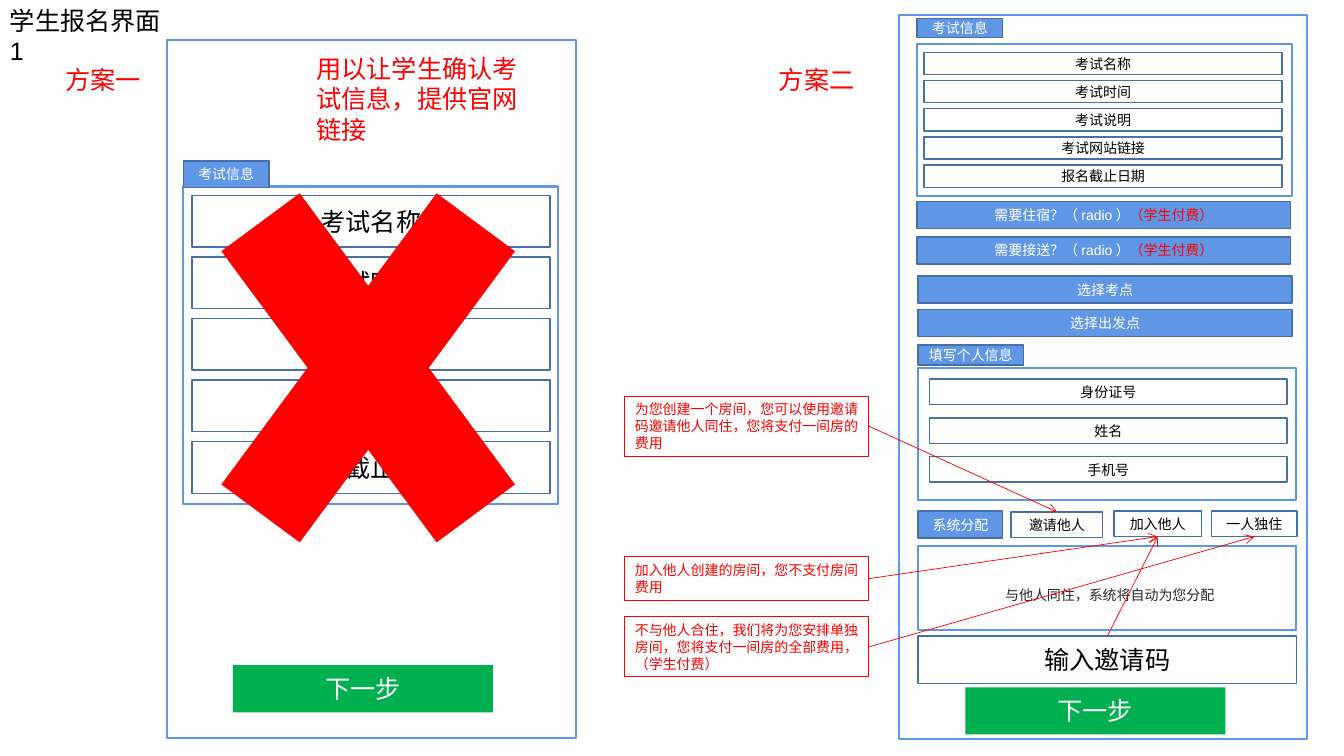
from lxml import etree
from pptx import Presentation
from pptx.dml.color import RGBColor
from pptx.enum.shapes import MSO_CONNECTOR, MSO_SHAPE
from pptx.enum.text import MSO_ANCHOR, PP_ALIGN
from pptx.oxml.ns import qn
from pptx.util import Cm, Pt

RECT, CROSS = MSO_SHAPE.RECTANGLE, MSO_SHAPE.MATH_MULTIPLY
STRAIGHT = MSO_CONNECTOR.STRAIGHT
TOP, MIDDLE = MSO_ANCHOR.TOP, MSO_ANCHOR.MIDDLE
LEFT, CENTER = PP_ALIGN.LEFT, PP_ALIGN.CENTER
BLUE, EDGE = RGBColor(0x60, 0x96, 0xE6), RGBColor(0x47, 0x6F, 0xAA)
GREEN, RED = RGBColor(0x00, 0xB0, 0x50), RGBColor(0xFF, 0x00, 0x00)
BLACK, WHITE = RGBColor(0, 0, 0), RGBColor(0xFF, 0xFF, 0xFF)
GRAY = RGBColor(0x26, 0x26, 0x26)

# Content; boxes are left, top, width, height in cm
LABELS = [
    ("学生报名界面1", (0, 0, 4.67, 1.02), BLACK),
    ("方案一", (1.4, 1.5, 2.67, 1.02), RED),
    ("方案二", (19.38, 1.5, 2.67, 1.02), RED),
    ("用以让学生确认考试信息，提供官网链接", (7.72, 1.22, 6.15, 2.57), RED),
]
FRAMES = [
    (4.22, 1.02, 10.29, 17.58), (4.62, 4.7, 9.45, 8),
    (22.66, 0.38, 10.29, 18.24), (23.11, 1.12, 9.45, 3.81),
    (23.14, 9.27, 9.53, 3.33), (23.14, 13.77, 9.53, 2.11),
]
TAGS = [
    ("考试信息", (4.62, 4.06, 2.16, 0.66)),
    ("考试信息", (23.11, 0.46, 2.16, 0.48)),
    ("填写个人信息", (23.14, 8.69, 2.65, 0.51)),
    ("系统分配", (23.14, 12.88, 2.13, 0.68)),
]
# Fields, left, top, height, pitch, text size
LISTS = [
    (["考试名称", "考试时间", "", "考试网站链接", "报名截止日期"], 4.84, 4.93, 1.3, 1.55, 18),
    (["考试名称", "考试时间", "考试说明", "考试网站链接", "报名截止日期"], 23.29, 1.32, 0.56, 0.71, 10),
    (["身份证号", "姓名", "手机号"], 23.42, 9.55, 0.64, 0.98, 10),
]
FIELD_W = 9.02
PAID = ("（学生付费）", RED)
BARS = [
    (23.11, 5.08, [("需要住宿？（radio）", WHITE), PAID]),
    (23.11, 5.97, [("需要接送？（radio）", WHITE), PAID]),
    (23.14, 6.96, [("选择考点", WHITE)]),
    (23.14, 7.8, [("选择出发点", WHITE)]),
]
BAR_W, BAR_H = 9.42, 0.68
CHOICES = [
    ("邀请他人", (25.48, 12.9, 2.31, 0.64)),
    ("加入他人", (28.07, 12.88, 2.21, 0.64)),
    ("一人独住", (30.53, 12.88, 2.16, 0.64)),
]
ROOM = ("与他人同住，系统将自动为您分配", (23.52, 14.02, 8.89, 1.93))
CODE = ("输入邀请码", (23.14, 16.03, 9.53, 1.19))
NEXT = [(5.87, 16.76, 6.55, 1.19), (24.33, 17.32, 6.55, 1.19)]
# Top, height, paragraphs, side of the choice that the arrow meets
NOTES = [
    (9.98, 1.52, ["为您创建一个房间，您可以使用邀请码邀请他人同住，您将支付一间房的费用"], 0),
    (14.02, 1.12, ["加入他人创建的房间，您不支付房间费用"], 2),
    (15.54, 1.52, ["不与他人合住，我们将为您安排单独房间，您将支付一间房的全部费用，", "（学生付费）"], 2),
]
NOTE_X, NOTE_W = 15.75, 6.15
REJECT = (4.06, 2.21, 10.44, 14.12)

deck = Presentation()
deck.slide_width, deck.slide_height = Cm(33.87), Cm(19.05)
slide = deck.slides.add_slide(deck.slide_layouts[6])


def write(shape, paras, size, align=CENTER, anchor=MIDDLE):
    """Fill a shape with paragraphs, each a list of (text, colour) runs."""
    frame = shape.text_frame
    frame.word_wrap = True
    frame.vertical_anchor = anchor
    for i, runs in enumerate(paras):
        para = frame.add_paragraph() if i else frame.paragraphs[0]
        para.alignment = align
        for text, color in runs:
            run = para.add_run()
            run.text = text
            run.font.name, run.font.size = "Arial", Pt(size)
            run.font.color.rgb = color


def draw(box, fill=None, line=None, width=1, kind=RECT):
    shape = slide.shapes.add_shape(kind, *map(Cm, box))
    shape.shadow.inherit = False
    if fill is None:
        shape.fill.background()
    else:
        shape.fill.solid()
        shape.fill.fore_color.rgb = fill
    if line is None:
        shape.line.fill.background()
    else:
        shape.line.color.rgb = line
        shape.line.width = Pt(width)
    return shape


def field(text, box, size=10):
    shape = draw(box, line=EDGE)
    if text:
        write(shape, [[(text, BLACK)]], size)
    return shape


def bar(runs, box):
    write(draw(box, BLUE, EDGE), [runs], 10)


def label(text, box, color, size, align=LEFT, anchor=TOP):
    write(slide.shapes.add_textbox(*map(Cm, box)), [[(text, color)]], size, align, anchor)


def arrow(start, side, end, goal):
    link = slide.shapes.add_connector(STRAIGHT, 0, 0, 0, 0)
    link.begin_connect(start, side)
    link.end_connect(end, goal)
    link.line.color.rgb, link.line.width = RED, Pt(0.5)
    etree.SubElement(link.line._get_or_add_ln(), qn("a:tailEnd"), type="arrow")
    etree.SubElement(link._element.spPr, qn("a:effectLst"))


for box in FRAMES:
    draw(box, line=BLUE, width=1.5)
for text, box, color in LABELS:
    label(text, box, color, 18)
for names, x, y, h, pitch, size in LISTS:
    for i, name in enumerate(names):
        field(name, (x, y + i * pitch, FIELD_W, h), size)
for text, box in TAGS:
    bar([(text, WHITE)], box)
for x, y, runs in BARS:
    bar(runs, (x, y, BAR_W, BAR_H))
for box in NEXT:
    write(draw(box, GREEN), [[("下一步", WHITE)]], 18)

label(*ROOM, GRAY, 10, CENTER, MIDDLE)
code = field(*CODE, 18)
choices = [field(*choice) for choice in CHOICES]
for (y, h, paras, goal), choice in zip(NOTES, choices):
    note = draw((NOTE_X, y, NOTE_W, h), line=RED, width=0.75)
    write(note, [[(text, RED)] for text in paras], 10, LEFT, TOP)
    arrow(note, 3, choice, goal)
arrow(code, 0, choices[1], 2)
draw(REJECT, RED, kind=CROSS)

deck.save("out.pptx")
